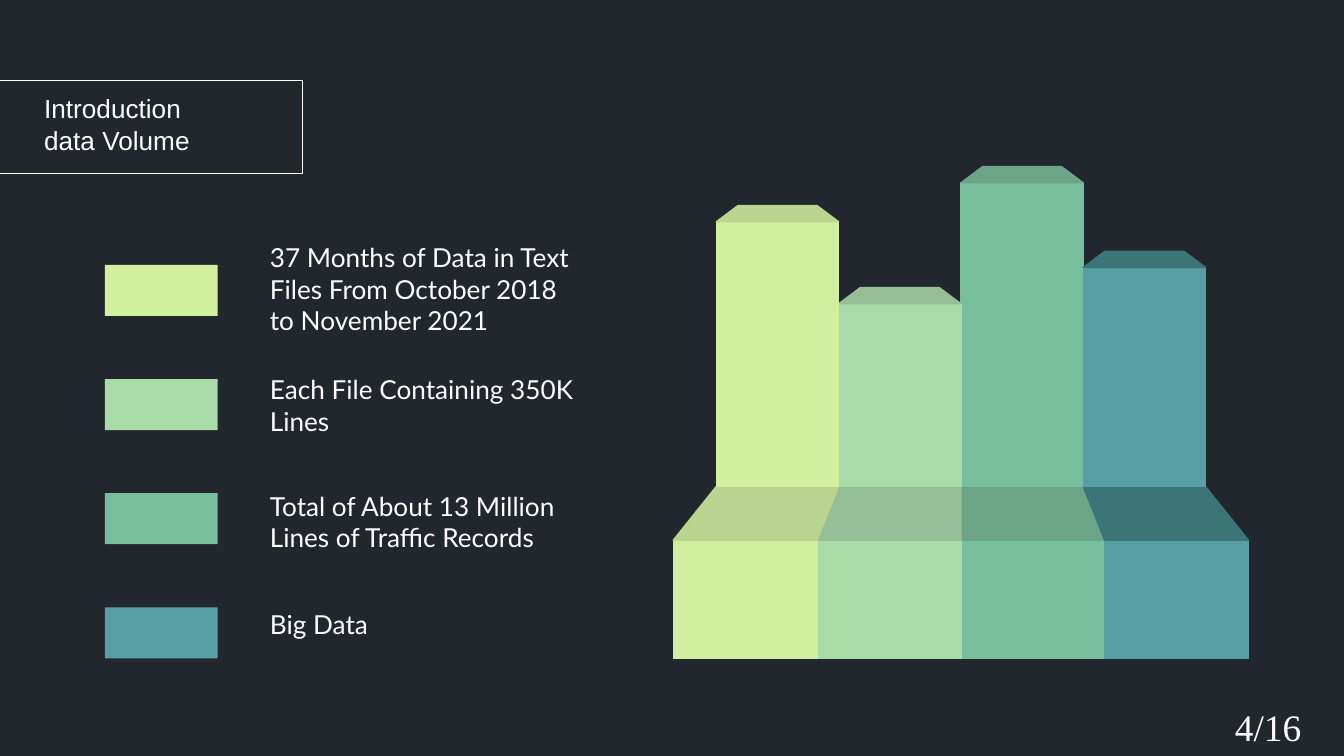
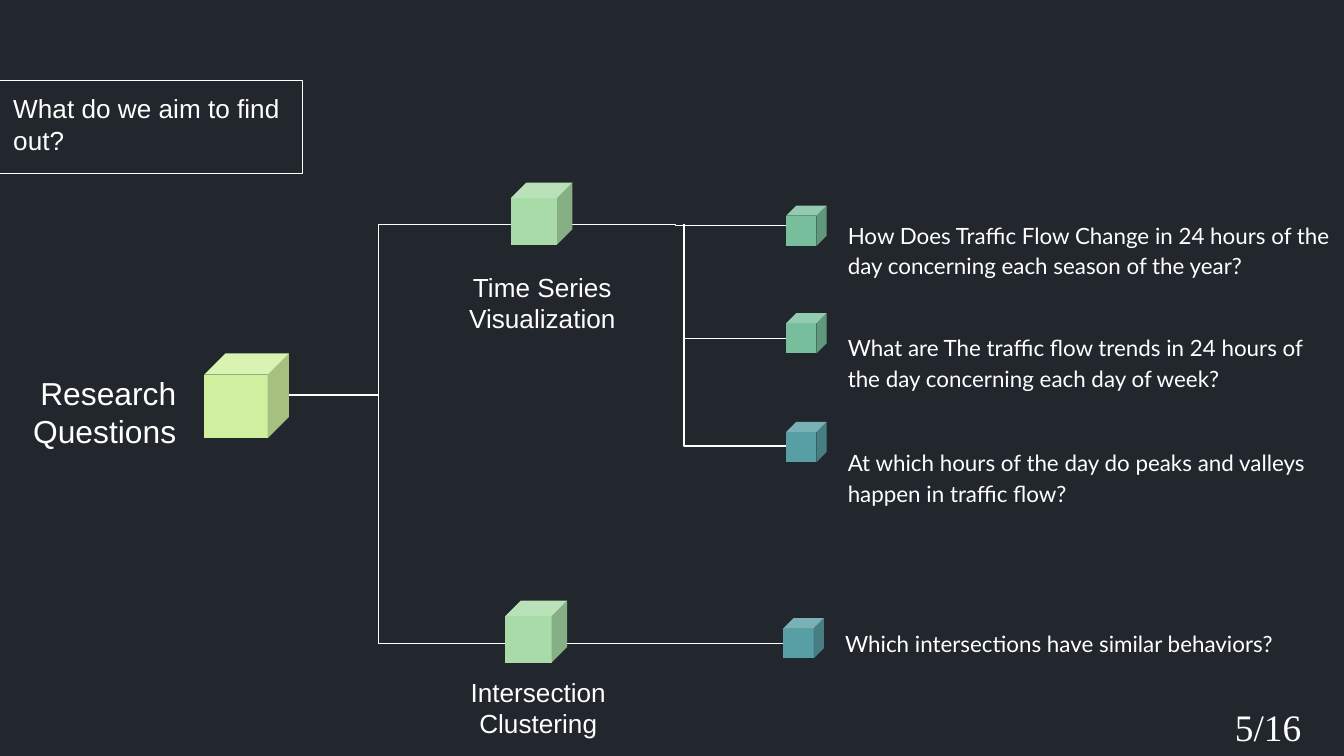
import pptx
import pptx.dml.color
import pptx.enum.shapes
import pptx.enum.text
import pptx.oxml.ns
import pptx.util
from lxml import etree

Inches = pptx.util.Inches
Pt = pptx.util.Pt
SHAPE = pptx.enum.shapes.MSO_SHAPE
ELBOW = pptx.enum.shapes.MSO_CONNECTOR.ELBOW
ANCHOR = pptx.enum.text.MSO_ANCHOR
ALIGN = pptx.enum.text.PP_ALIGN
qn = pptx.oxml.ns.qn

COLORS = {
    "background": "22262D",
    "white": "FFFFFF",
    "lime": "D0F09F",
    "lime_dark": "BAD58F",
    "mint": "A8DBA7",
    "mint_dark": "96BE97",
    "green": "77BE9C",
    "green_dark": "6CA487",
    "blue": "589EA5",
    "blue_dark": "3B7577",
}
SERIES = ["lime", "mint", "green", "blue"]


def rgb(name):
    return pptx.dml.color.RGBColor.from_string(COLORS[name])


class Deck:
    """Holds the presentation, its style and the slide being built."""

    heading_font = "Arial"
    body_font = "Lato"
    page_font = "Times New Roman"
    page_total = 16

    def __init__(self):
        self.prs = pptx.Presentation()
        self.prs.slide_width = Inches(10)
        self.prs.slide_height = Inches(5.625)
        self.s = None

    def new_slide(self, title, page, title_left, title_width):
        self.s = self.prs.slides.add_slide(self.prs.slide_layouts[6])
        fill = self.s.background.fill
        fill.solid()
        fill.fore_color.rgb = rgb("background")
        self.shape(SHAPE.RECTANGLE, -0.1, 0.6, 2.35, 0.69, line="white")
        self.text(title, title_left, 0.41, title_width, 1.03,
                  font=self.heading_font, anchor=ANCHOR.MIDDLE)
        self.text(f"{page}/{self.page_total}", 9.09, 5.19, 0.91, 0.44,
                  size=20, font=self.page_font, inset=0.05)

    def paint(self, sp, fill=None, line=None):
        sp.shadow.inherit = False
        if fill:
            sp.fill.solid()
            sp.fill.fore_color.rgb = rgb(fill)
        else:
            sp.fill.background()
        if line:
            sp.line.color.rgb = rgb(line)
            sp.line.width = Pt(0.75)
        else:
            sp.line.fill.background()

    def shape(self, kind, left, top, width, height, fill=None, line=None):
        sp = self.s.shapes.add_shape(
            kind, Inches(left), Inches(top), Inches(width), Inches(height))
        self.paint(sp, fill, line)

    def polygon(self, points, color):
        pts = [(Inches(x), Inches(y)) for x, y in points]
        builder = self.s.shapes.build_freeform(*pts[0])
        builder.add_line_segments(pts[1:], close=True)
        self.paint(builder.convert_to_shape(), color, color)

    def text(self, text, left, top, width, height, size=14, font=body_font,
             anchor=ANCHOR.TOP, align=ALIGN.LEFT, spacing=None, inset=0.1):
        box = self.s.shapes.add_textbox(
            Inches(left), Inches(top), Inches(width), Inches(height))
        tf = box.text_frame
        tf.word_wrap = True
        tf.vertical_anchor = anchor
        tf.margin_left = tf.margin_right = Inches(0.1)
        tf.margin_top = tf.margin_bottom = Inches(inset)
        p = tf.paragraphs[0]
        p.alignment = align
        if spacing:
            p.line_spacing = spacing
        for i, line in enumerate(text.split("\n")):
            if i:
                p.add_line_break()
            r = p.add_run()
            r.text = line
            r.font.size = Pt(size)
            r.font.name = font
            r.font.color.rgb = rgb("white")

    def elbow(self, start, end, bend=0.5):
        """Bent connector; bend is the share of the width before the turn."""
        cn = self.s.shapes.add_connector(
            ELBOW, *(Inches(v) for v in (*start, *end)))
        cn.line.color.rgb = rgb("white")
        cn.line.width = Pt(0.75)
        sp_pr = cn._element.spPr
        geom = sp_pr.find(qn("a:prstGeom"))
        guides = geom.find(qn("a:avLst"))
        if guides is None:
            guides = etree.SubElement(geom, qn("a:avLst"))
        etree.SubElement(guides, qn("a:gd"), name="adj1",
                         fmla=f"val {round(bend * 100000)}")
        etree.SubElement(sp_pr, qn("a:effectLst"))

    def cube(self, left, top, size, color):
        self.shape(SHAPE.CUBE, left, top, size, size, fill=color)

    def tower(self, index, top):
        """One column with its lid, the sloping floor and the front block."""
        color = SERIES[index]
        dark = color + "_dark"
        floor, edge, bottom = 3.62, 4.02, 4.9
        left, right = (5.33 + 0.91 * i for i in (index, index + 1))
        front_left, front_right = (5.01 + 1.07 * i for i in (index, index + 1))
        lid = top - 0.12
        self.polygon([(front_left, edge), (front_right, edge),
                      (front_right, bottom), (front_left, bottom)], color)
        self.polygon([(left, floor), (right, floor),
                      (front_right, edge), (front_left, edge)], dark)
        self.polygon([(left, top), (right, top),
                      (right, floor), (left, floor)], color)
        self.polygon([(left + 0.16, lid), (right - 0.16, lid),
                      (right, top), (left, top)], dark)


def data_volume(deck):
    deck.new_slide("Introduction\ndata Volume", 4, 0.23, 1.88)
    tops = [1.65, 2.26, 1.36, 1.99]
    for index in (2, 1, 3, 0):
        deck.tower(index, tops[index])

    captions = [
        ("37 Months of Data in Text Files From October 2018 to November 2021",
         ANCHOR.MIDDLE),
        ("Each File Containing 350K Lines", ANCHOR.MIDDLE),
        ("Total of About 13 Million Lines of Traffic Records", ANCHOR.MIDDLE),
        ("Big Data", ANCHOR.TOP),
    ]
    for i, (caption, anchor) in enumerate(captions):
        deck.shape(SHAPE.RECTANGLE, 0.78, 1.97 + 0.85 * i, 0.84, 0.38,
                   fill=SERIES[i])
        deck.text(caption, 1.91, 1.83 + 0.865 * i, 2.46, 0.64, anchor=anchor)


def research_questions(deck):
    deck.new_slide("What do we aim to find out?", 5, 0, 2.38)

    headings = [
        ("Research Questions", -0.28, 2.68, 1.69, 17, ALIGN.RIGHT),
        ("Time Series Visualization", 3.34, 1.92, 1.39, 14, ALIGN.CENTER),
        ("Intersection Clustering", 3.31, 4.93, 1.39, 14, ALIGN.CENTER),
    ]
    for heading, left, top, width, size, align in headings:
        deck.text(heading, left, top, width, 0.47, size=size,
                  font=deck.heading_font, align=align)

    questions = [
        ("How Does Traffic Flow Change in 24 hours of the day concerning "
         "each season of the year?", 6.21, 1.52),
        ("What are The traffic flow trends in 24 hours of the day concerning "
         "each day of week?", 6.21, 2.36),
        ("At which hours of the day do peaks and valleys happen in traffic "
         "flow?", 6.21, 3.21),
        ("Which intersections have similar behaviors?", 6.19, 4.56),
    ]
    for question, left, top in questions:
        deck.text(question, left, top, 3.8, 0.47, size=12, spacing=1.15)

    root = (1.78, 2.94)
    deck.elbow((5.09, 1.67), (5.85, 2.52), bend=0)
    deck.elbow((5.09, 2.49), (5.85, 3.32), bend=0)
    deck.elbow((4.17, 1.67), (5.88, 1.68))
    deck.elbow(root, (3.85, 1.67))
    deck.elbow(root, (5.83, 4.79), bend=0.256)

    cubes = [
        (1.52, 2.63, 0.63, "lime"),
        (3.8, 1.36, 0.46, "mint"),
        (3.76, 4.47, 0.46, "mint"),
        (5.85, 1.53, 0.3, "green"),
        (5.85, 2.33, 0.3, "green"),
        (5.85, 3.14, 0.3, "blue"),
        (5.83, 4.6, 0.3, "blue"),
    ]
    for cube in cubes:
        deck.cube(*cube)


def main():
    deck = Deck()
    data_volume(deck)
    research_questions(deck)
    deck.prs.save("out.pptx")


if __name__ == "__main__":
    main()
